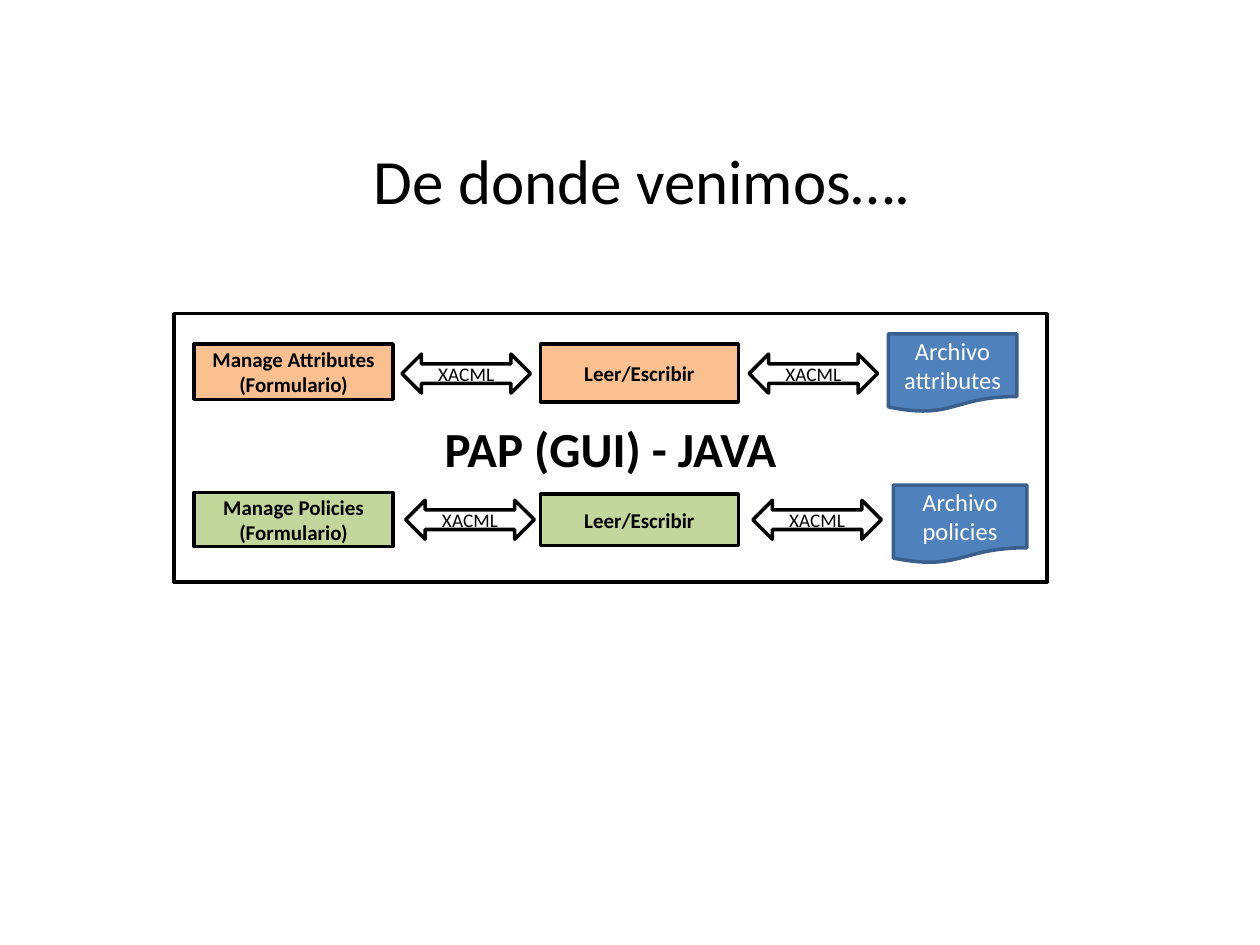
"""Builds the slide showing how the PAP forms read and write their XACML files."""
import pptx
import pptx.dml.color
import pptx.enum.shapes
import pptx.enum.text
import pptx.util

Inches = pptx.util.Inches
RGBColor = pptx.dml.color.RGBColor
SHAPES = pptx.enum.shapes.MSO_SHAPE

BLACK = RGBColor(0x00, 0x00, 0x00)
WHITE = RGBColor(0xFF, 0xFF, 0xFF)
ORANGE = RGBColor(0xFA, 0xC0, 0x90)
GREEN = RGBColor(0xC3, 0xD6, 0x9B)
BLUE = RGBColor(0x4F, 0x81, 0xBD)
DARK_BLUE = RGBColor(0x3A, 0x5F, 0x8C)

FRAME_TEXT = {"size": pptx.util.Pt(28), "bold": True}
STEP_TEXT = {"size": pptx.util.Pt(12), "bold": True}
ARROW_TEXT = {"size": pptx.util.Pt(11), "bold": False}
FILE_TEXT = {"size": pptx.util.Pt(14), "bold": False}
TITLE_TEXT = {"size": pptx.util.Pt(36), "bold": False}


def write_lines(frame, lines, text_format, color, alignment):
    """Write one paragraph per line in the given format."""
    for index, line in enumerate(lines):
        paragraph = frame.paragraphs[0] if index == 0 else frame.add_paragraph()
        paragraph.alignment = alignment
        run = paragraph.add_run()
        run.text = line
        run.font.name = "Calibri"
        run.font.color.rgb = color
        for name, value in text_format.items():
            setattr(run.font, name, value)


def add_block(slide, preset, box, lines, text_format,
              fill=WHITE, outline=BLACK, color=BLACK):
    """Add an outlined preset shape with centred text."""
    block = slide.shapes.add_shape(preset, *map(Inches, box))
    block.shadow.inherit = False
    block.fill.solid()
    block.fill.fore_color.rgb = fill
    block.line.color.rgb = outline
    block.line.width = pptx.util.Pt(2)
    block.text_frame.word_wrap = True
    block.text_frame.vertical_anchor = pptx.enum.text.MSO_ANCHOR.MIDDLE
    write_lines(block.text_frame, lines, text_format, color,
                pptx.enum.text.PP_ALIGN.CENTER)


def add_title(slide, title):
    """Add the unwrapped slide title."""
    title_box = slide.shapes.add_textbox(*map(Inches, (2.87, 1.07, 4.5, 0.71)))
    frame = title_box.text_frame
    frame.word_wrap = False
    frame.auto_size = pptx.enum.text.MSO_AUTO_SIZE.SHAPE_TO_FIT_TEXT
    write_lines(frame, [title], TITLE_TEXT, BLACK, pptx.enum.text.PP_ALIGN.LEFT)


def add_flow(slide, subject, fill, form_span, access_span, arrows, file_box):
    """Add a row that runs from a form through read/write to its file."""
    add_block(slide, SHAPES.FLOWCHART_DOCUMENT, file_box,
              ["Archivo", subject.lower()], FILE_TEXT, BLUE, DARK_BLUE, WHITE)
    steps = [
        (1.54, 1.58, form_span, [f"Manage {subject}", "(Formulario)"]),
        (4.29, 1.57, access_span, ["Leer/Escribir"]),
    ]
    for left, width, (top, height), lines in steps:
        add_block(slide, SHAPES.RECTANGLE, (left, top, width, height),
                  lines, STEP_TEXT, fill)
    first_left, arrow_top = arrows
    for left in (first_left, first_left + 2.755):
        add_block(slide, SHAPES.LEFT_RIGHT_ARROW, (left, arrow_top, 1.02, 0.31),
                  ["XACML"], ARROW_TEXT)


def main():
    """Build and save the presentation."""
    presentation = pptx.Presentation()
    presentation.slide_width = Inches(10)
    presentation.slide_height = Inches(7.5)
    slide = presentation.slides.add_slide(presentation.slide_layouts[6])

    add_block(slide, SHAPES.RECTANGLE, (1.38, 2.49, 6.93, 2.13),
              ["PAP (GUI) - JAVA"], FRAME_TEXT)
    add_flow(slide, "Policies", GREEN, (3.91, 0.43), (3.92, 0.41),
             (3.22, 3.97), (7.09, 3.85, 1.06, 0.62))
    add_flow(slide, "Attributes", ORANGE, (2.73, 0.44), (2.73, 0.46),
             (3.19, 2.81), (7.05, 2.65, 1.02, 0.62))
    add_title(slide, "De donde venimos….")

    presentation.save("out.pptx")


if __name__ == "__main__":
    main()
